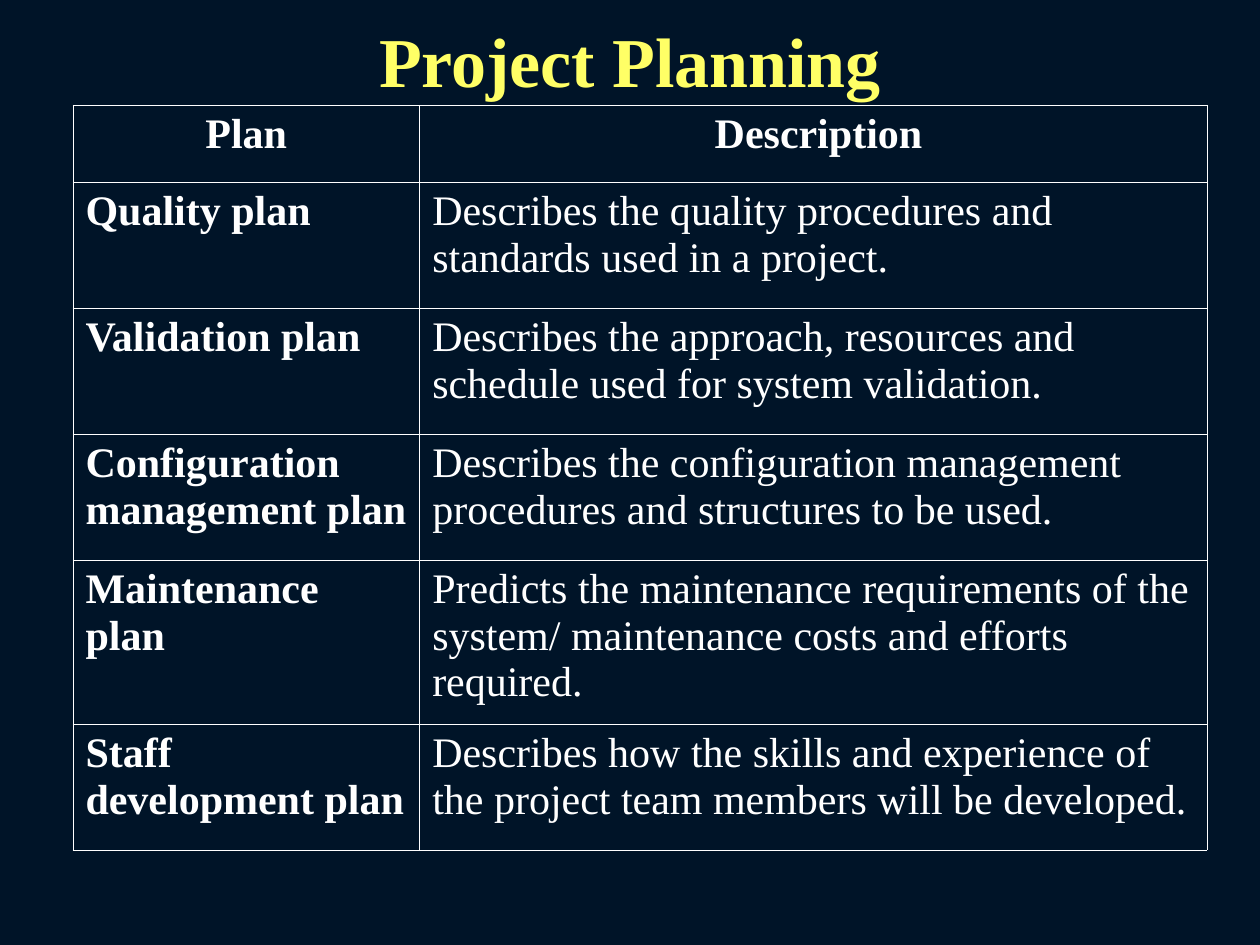
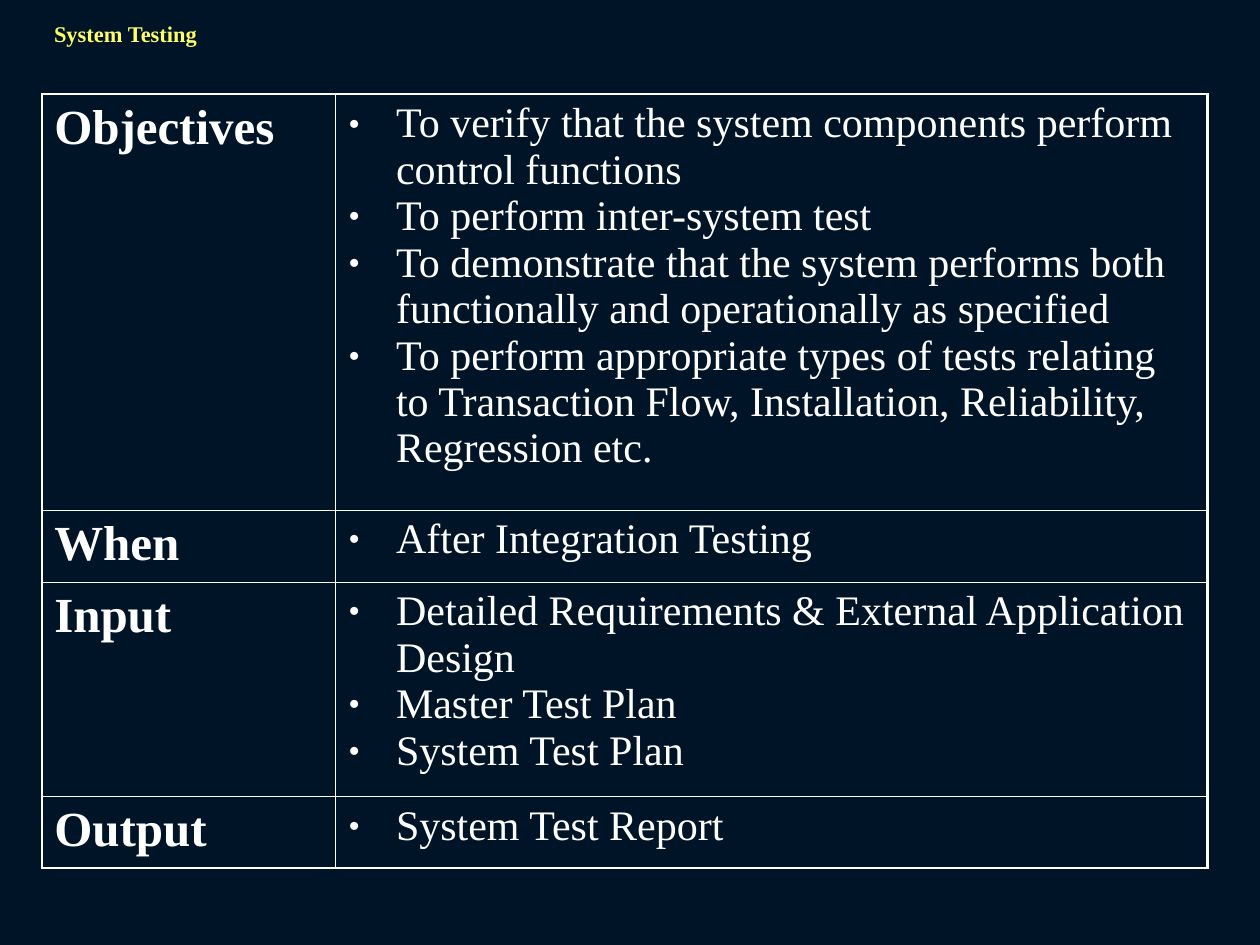
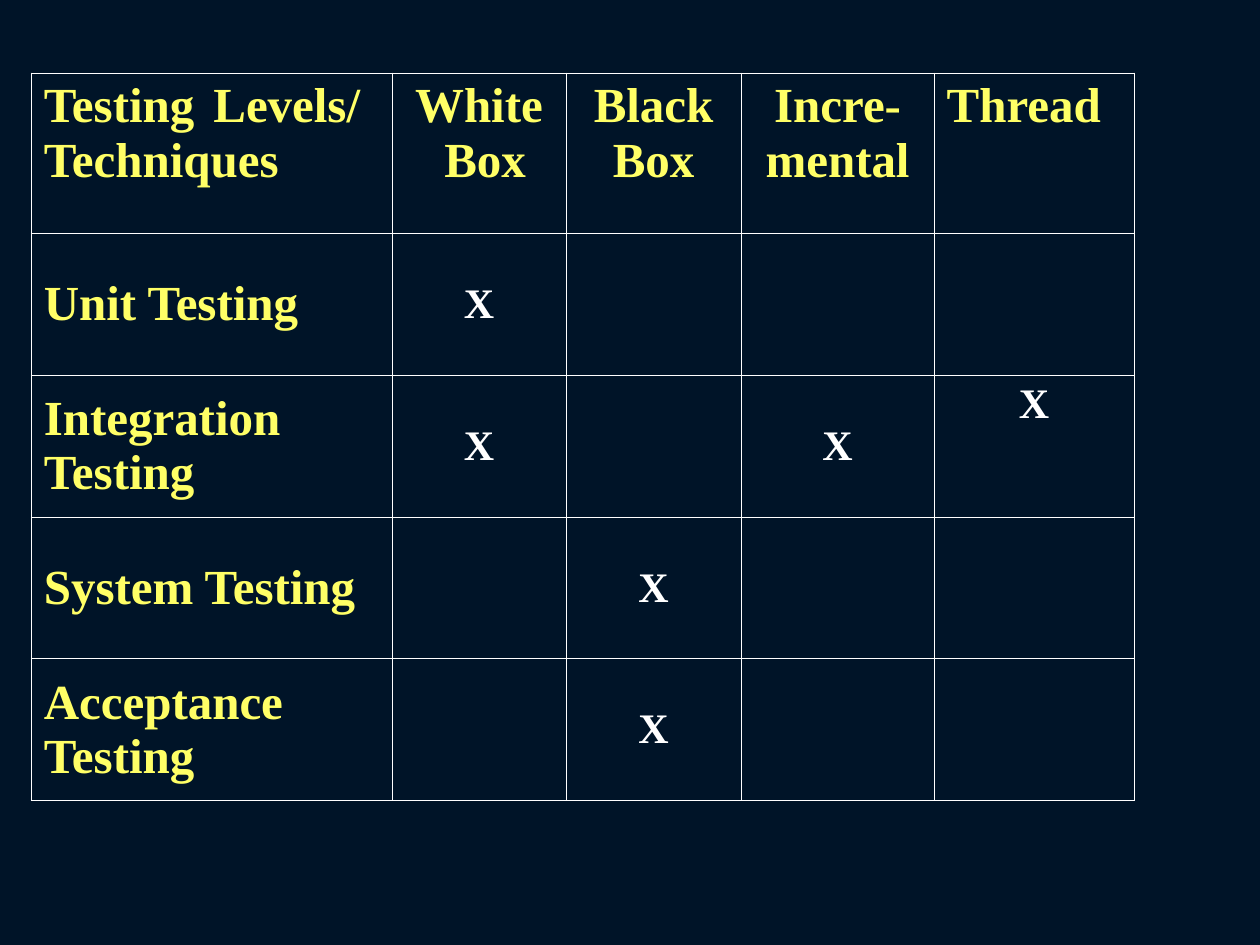
from dataclasses import dataclass

from lxml.etree import SubElement
from pptx import Presentation
from pptx.dml.color import RGBColor
from pptx.enum.text import MSO_ANCHOR, PP_ALIGN
from pptx.oxml import parse_xml
from pptx.oxml.ns import nsdecls, qn
from pptx.util import Cm, Pt


@dataclass(frozen=True)
class Theme:
    font: str = "Times New Roman"
    background: str = "001428"
    accent: str = "FFFF66"
    text: str = "FFFFFF"
    border: str = "FFFFFF"
    title_size: float = 40
    label_size: float = 28
    body_size: float = 24
    caption_size: float = 12.8
    thin: float = 0.45
    thick: float = 1.47
    hanging: float = 0.96
    bullet_percent: int = 80


THEME = Theme()

PLANS = [
    ("Quality plan",
     "Describes the quality procedures and\nstandards used in a project."),
    ("Validation plan",
     "Describes the approach, resources and\nschedule used for system validation."),
    ("Configuration\nmanagement plan",
     "Describes the configuration management\nprocedures and structures to be used."),
    ("Maintenance plan",
     "Predicts the maintenance requirements of the\n"
     "system/ maintenance costs and efforts\nrequired."),
    ("Staff\ndevelopment plan",
     "Describes how the skills and experience of\n"
     "the project team members will be developed."),
]

SYSTEM_TESTING = [
    ("Objectives",
     "To verify that the system components perform control functions\n"
     "To perform inter-system test\n"
     "To demonstrate that the system performs both functionally and "
     "operationally as specified\n"
     "To perform appropriate types of tests relating to Transaction Flow, "
     "Installation, Reliability, Regression etc."),
    ("When", "After Integration Testing"),
    ("Input",
     "Detailed Requirements & External Application Design\n"
     "Master Test Plan\nSystem Test Plan"),
    ("Output", "System Test Report"),
]

TECHNIQUES = ["Testing Levels/ Techniques", "White\n Box", "Black\nBox",
              "Incre-\nmental", "Thread"]
LEVELS = [
    ("Unit Testing", "X", "", "", ""),
    ("Integration Testing", "X", "", "X", "X"),
    ("System Testing", "", "X", "", ""),
    ("Acceptance Testing", "", "X", "", ""),
]


def add_bullet(para):
    properties = para._p.get_or_add_pPr()
    properties.set("marL", str(Cm(THEME.hanging)))
    properties.set("indent", str(-Cm(THEME.hanging)))
    color = SubElement(properties, qn("a:buClr"))
    SubElement(color, qn("a:srgbClr"), val=THEME.text)
    SubElement(properties, qn("a:buSzPct"), val=str(THEME.bullet_percent * 1000))
    SubElement(properties, qn("a:buFont"), typeface=THEME.font)
    SubElement(properties, qn("a:buChar"), char="•")


def write(frame, text, size=THEME.body_size, color=THEME.text, bold=False,
          align=PP_ALIGN.LEFT, bullet=False, spacing=None):
    frame.word_wrap = True
    for number, line in enumerate(text.split("\n")):
        para = frame.add_paragraph() if number else frame.paragraphs[0]
        para.alignment = align
        if spacing:
            para.line_spacing = spacing
        if bullet:
            add_bullet(para)
        span = para.add_run()
        span.text = line
        span.font.name = THEME.font
        span.font.size = Pt(size)
        span.font.bold = bold
        span.font.color.rgb = RGBColor.from_string(color)


def add_page(deck):
    page = deck.slides.add_slide(deck.slide_layouts[6])
    page.background.fill.solid()
    page.background.fill.fore_color.rgb = RGBColor.from_string(THEME.background)
    return page


def add_heading(page, text, left, top, width, height, anchor=MSO_ANCHOR.TOP, **text_format):
    box = page.shapes.add_textbox(Cm(left), Cm(top), Cm(width), Cm(height))
    box.text_frame.vertical_anchor = anchor
    write(box.text_frame, text, color=THEME.accent, bold=True, **text_format)


def set_borders(cell, widths):
    properties = cell._tc.get_or_add_tcPr()
    for position, (side, width) in enumerate(zip("LRTB", widths)):
        properties.insert(position, parse_xml(
            f'<a:ln{side} {nsdecls("a")} w="{Pt(width)}"><a:solidFill>'
            f'<a:srgbClr val="{THEME.border}"/></a:solidFill></a:ln{side}>'))


def add_grid(page, left, top, columns, rows, outline=THEME.thin):
    table = page.shapes.add_table(len(rows), len(columns), Cm(left), Cm(top),
                                  Cm(sum(columns)), Cm(sum(rows))).table
    table.first_row = table.horz_banding = False
    for column, width in zip(table.columns, columns):
        column.width = Cm(width)
    for row, height in zip(table.rows, rows):
        row.height = Cm(height)
    for r in range(len(rows)):
        for c in range(len(columns)):
            cell = table.cell(r, c)
            cell.fill.background()
            edges = (c == 0, c == len(columns) - 1, r == 0, r == len(rows) - 1)
            set_borders(cell, [outline if edge else THEME.thin for edge in edges])
    return table


def add_planning_page(deck):
    page = add_page(deck)
    add_heading(page, "Project Planning", 1.27, 0.43, 22.86, 1.55,
                anchor=MSO_ANCHOR.MIDDLE, size=THEME.title_size, align=PP_ALIGN.CENTER)
    table = add_grid(page, 1.47, 2.12, [6.99, 15.87], [1.55, 2.54, 2.54, 2.54, 3.3, 2.54])
    for c, title in enumerate(["Plan", " Description"]):
        write(table.cell(0, c).text_frame, title, bold=True, align=PP_ALIGN.CENTER)
    for r, (plan, description) in enumerate(PLANS, start=1):
        write(table.cell(r, 0).text_frame, plan, bold=True)
        write(table.cell(r, 1).text_frame, description)


def add_system_testing_page(deck):
    page = add_page(deck)
    add_heading(page, "System Testing", 0.84, 0.43, 11.23, 1.47,
                size=THEME.caption_size, spacing=0.7)
    table = add_grid(page, 0.84, 1.9, [5.93, 17.57], [8.38, 1.45, 4.32, 1.45],
                     outline=THEME.thick)
    for r, (topic, points) in enumerate(SYSTEM_TESTING):
        write(table.cell(r, 0).text_frame, topic, size=THEME.label_size, bold=True)
        write(table.cell(r, 1).text_frame, points, bullet=True)


def add_techniques_page(deck):
    page = add_page(deck)
    table = add_grid(page, 0.63, 1.47, [7.27, 3.51, 3.53, 3.89, 4.03], [3.23] + [2.86] * 4)
    last = len(TECHNIQUES) - 1
    label = {"size": THEME.label_size, "color": THEME.accent, "bold": True}
    for c, technique in enumerate(TECHNIQUES):
        align = PP_ALIGN.JUSTIFY if c in (0, last) else PP_ALIGN.CENTER
        write(table.cell(0, c).text_frame, technique, align=align, **label)
    for r, (level, *marks) in enumerate(LEVELS, start=1):
        name = table.cell(r, 0)
        name.vertical_anchor = MSO_ANCHOR.MIDDLE
        write(name.text_frame, level, align=PP_ALIGN.JUSTIFY, **label)
        for c, mark in enumerate(marks, start=1):
            if mark:
                cell = table.cell(r, c)
                cell.vertical_anchor = MSO_ANCHOR.TOP if c == last else MSO_ANCHOR.MIDDLE
                write(cell.text_frame, mark, bold=True, align=PP_ALIGN.CENTER)
    for r in range(len(LEVELS) + 1):
        table.cell(r, 0).margin_right = Cm(0.64)


def main():
    deck = Presentation()
    deck.slide_width, deck.slide_height = Cm(25.4), Cm(19.05)
    add_planning_page(deck)
    add_system_testing_page(deck)
    add_techniques_page(deck)
    deck.save("out.pptx")


if __name__ == "__main__":
    main()
